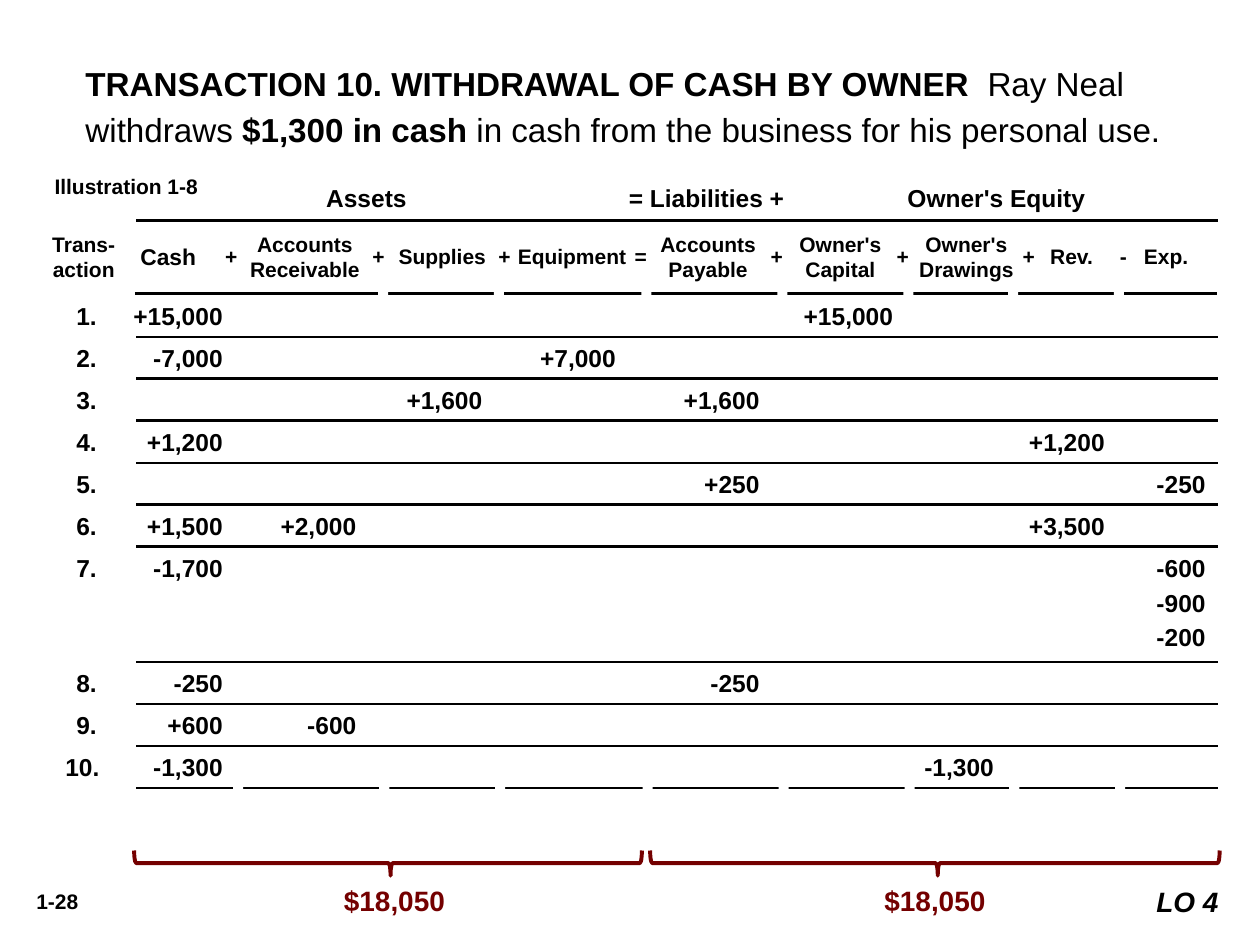
from dataclasses import dataclass

from lxml.etree import SubElement
from pptx import Presentation
from pptx.dml.color import RGBColor
from pptx.enum.shapes import MSO_CONNECTOR, MSO_SHAPE
from pptx.enum.text import MSO_ANCHOR, PP_ALIGN
from pptx.oxml.ns import qn
from pptx.util import Inches, Pt


@dataclass(frozen=True)
class Theme:
    font: str = "Arial"
    ink: RGBColor = RGBColor(0, 0, 0)
    paper: RGBColor = RGBColor(255, 255, 255)
    accent: RGBColor = RGBColor(0x74, 0, 0)
    title: int = 19
    total: int = 16
    entry: int = 14
    cash: int = 13
    label: int = 12
    rule: float = 1.5
    brace: float = 2.25


theme = Theme()

TITLE = [
    ("TRANSACTION 10. WITHDRAWAL OF CASH BY OWNER  ", True),
    ("Ray Neal withdraws ", False),
    ("$1,300 in cash ", True),
    ("in cash from the business for his personal use.", False),
]
GROUPS = [("Assets", 1.81), ("= Liabilities +", 4.51), ("Owner's Equity", 6.81)]
HEADINGS = [
    (["Trans-", "action"], 0.25, 0.83, 0.1, theme.label),
    (["Cash"], 0.92, 0.83, 0.1, theme.cash),
    (["Accounts", "Receivable"], 1.92, 1, 0, theme.label),
    (["Supplies"], 3.07, 0.88, 0, theme.label),
    (["Equipment"], 4, 1.08, 0, theme.label),
    (["Accounts", "Payable"], 5.08, 1.08, 0.1, theme.label),
    (["Owner's Capital"], 6.17, 1, 0.1, theme.label),
    (["Owner's Drawings"], 7.17, 1, 0.1, theme.label),
    (["Rev."], 8.17, 0.67, 0.1, theme.label),
    (["Exp."], 8.92, 0.67, 0.1, theme.label),
]
OPERATORS = [("+", 1.75), ("+", 2.92), ("+", 3.92), ("=", 5), ("+", 6.08),
             ("+", 7.08), ("+", 8.08), ("-", 8.83)]
COLUMN_ENDS = {
    "number": 0.25, "cash": 1.25, "receivable": 2.31, "supplies": 3.31,
    "equipment": 4.37, "payable": 5.51, "capital": 6.57, "drawings": 7.37,
    "revenue": 8.25, "expense": 9.05,
}
TRANSACTIONS = [
    [{"number": "1.", "cash": "+15,000", "capital": "+15,000"}],
    [{"number": "2.", "cash": "-7,000", "equipment": "+7,000"}],
    [{"number": "3.", "supplies": "+1,600", "payable": "+1,600"}],
    [{"number": "4.", "cash": "+1,200", "revenue": "+1,200"}],
    [{"number": "5.", "payable": "+250", "expense": "-250"}],
    [{"number": "6.", "cash": "+1,500", "receivable": "+2,000", "revenue": "+3,500"}],
    [{"number": "7.", "cash": "-1,700", "expense": "-600"},
     {"expense": "-900"}, {"expense": "-200"}],
    [{"number": "8.", "cash": "-250", "payable": "-250"}],
    [{"number": "9.", "cash": "+600", "receivable": "-600"}],
    [{"number": "10.", "cash": "-1,300", "drawings": "-1,300"}],
]
TOTALS = [("$18,050", 3.13, 1.42, 3.08, 4.03), ("$18,050", 7.42, 1.5, 7.42, 4.52)]

RULE_LEFT, RULE_RIGHT = 1.08, 9.67
GAPS = [1.85, 3.01, 3.93, 5.1, 6.18, 7.18, 8.01, 8.85]
GAP_WIDTH, GAP_HEIGHT = 0.08, 0.17
HEADING_TOP, HEADING_HEIGHT, HEADING_RULE = 1.75, 0.57, 2.33
ROWS_TOP, ROW_HEIGHT, EXTRA_LINE = 2.34, 1 / 3, 0.29
BRACE_MIDDLE, BRACE_DEPTH = 6.85, 0.2

deck = Presentation()
deck.slide_width, deck.slide_height = Inches(10), Inches(7.5)
page = deck.slides.add_slide(deck.slide_layouts[6])


def style(para, size, color=theme.ink, bold=True, italic=None):
    font = para.font
    font.name, font.size, font.bold, font.italic = theme.font, Pt(size), bold, italic
    font.color.rgb = color


def add_box(left, top, width, height, side=0.1, anchor=MSO_ANCHOR.TOP):
    box = page.shapes.add_textbox(*map(Inches, (left, top, width, height)))
    frame = box.text_frame
    frame.word_wrap = True
    frame.vertical_anchor = anchor
    frame.margin_left = frame.margin_right = Inches(side)
    return frame


def add_lines(frame, lines, size, align=PP_ALIGN.CENTER, **look):
    for index, line in enumerate(lines):
        para = frame.add_paragraph() if index else frame.paragraphs[0]
        para.text = line
        para.alignment = align
        style(para, size, **look)


def add_tabbed(para, stops, size):
    para.text = "".join("\t" + text for text, position, align in stops)
    tabs = SubElement(para._p.get_or_add_pPr(), qn("a:tabLst"))
    for text, position, align in stops:
        SubElement(tabs, qn("a:tab"), pos=str(Inches(position)), algn=align)
    style(para, size)


def add_rule(top, shift=0):
    rule = page.shapes.add_connector(
        MSO_CONNECTOR.STRAIGHT, Inches(RULE_LEFT + shift), Inches(top),
        Inches(RULE_RIGHT + shift), Inches(top))
    rule.line.color.rgb = theme.ink
    rule.line.width = Pt(theme.rule)
    SubElement(rule._element.spPr, qn("a:effectLst"))


def add_broken_rule(gaps, top, shift=0):
    add_rule(top, shift)
    for left in gaps:
        gap = page.shapes.add_shape(
            MSO_SHAPE.RECTANGLE, Inches(left + shift), Inches(top - GAP_HEIGHT / 2),
            Inches(GAP_WIDTH), Inches(GAP_HEIGHT))
        gap.shadow.inherit = False
        gap.fill.solid()
        gap.fill.fore_color.rgb = theme.paper
        gap.line.fill.background()


title = add_box(0.58, 0.41, 8.92, 0.84).paragraphs[0]
title.line_spacing = 1.15
for text, bold in TITLE:
    span = title.add_run()
    span.text = text
    span.font.bold = bold
style(title, theme.title, bold=None)

add_lines(add_box(0.25, 1.33, 1.42, 0.3), ["Illustration 1-8"], theme.label, PP_ALIGN.RIGHT)
groups = add_box(1, 1.42, 8.67, 0.29, anchor=MSO_ANCHOR.MIDDLE)
add_tabbed(groups.paragraphs[0], [(*group, "ctr") for group in GROUPS], theme.entry)
add_rule(HEADING_TOP)
add_broken_rule(GAPS[1:], HEADING_RULE, shift=-0.01)

operators = [([sign], left, 0.17, 0, theme.label) for sign, left in OPERATORS]
for lines, left, width, side, size in HEADINGS + operators:
    heading = add_box(left, HEADING_TOP, width, HEADING_HEIGHT, side, MSO_ANCHOR.MIDDLE)
    add_lines(heading, lines, size)

top = ROWS_TOP
for transaction in TRANSACTIONS:
    height = ROW_HEIGHT + EXTRA_LINE * (len(transaction) - 1)
    row = add_box(0.42, top, 9.42, height)
    for index, entries in enumerate(transaction):
        para = row.add_paragraph() if index else row.paragraphs[0]
        para.space_before = Pt(3 if index else 0)
        stops = [(text, COLUMN_ENDS[name], "r") for name, text in entries.items()]
        add_tabbed(para, stops, theme.entry)
    top += height
    if transaction is not TRANSACTIONS[-1]:
        add_rule(top)
add_broken_rule(GAPS, top)

for text, center, width, brace_center, span_width in TOTALS:
    brace = page.shapes.add_shape(
        MSO_SHAPE.LEFT_BRACE,
        Inches(brace_center - BRACE_DEPTH / 2), Inches(BRACE_MIDDLE - span_width / 2),
        Inches(BRACE_DEPTH), Inches(span_width))
    brace.rotation = 270
    brace.adjustments[0], brace.adjustments[1] = 0.083, 0.505
    brace.shadow.inherit = False
    brace.fill.background()
    brace.line.color.rgb = theme.accent
    brace.line.width = Pt(theme.brace)
    total = add_box(center - width / 2, 6.96, width, 0.37)
    add_lines(total, [text], theme.total, color=theme.accent)

add_lines(add_box(0.08, 7, 0.75, 0.3), ["1-28"], theme.label)
objective = add_box(9, 6.97, 0.83, 0.37, side=0.16)
objective.margin_left = 0
add_lines(objective, ["LO 4"], theme.total, PP_ALIGN.RIGHT, italic=True)

deck.save("out.pptx")
